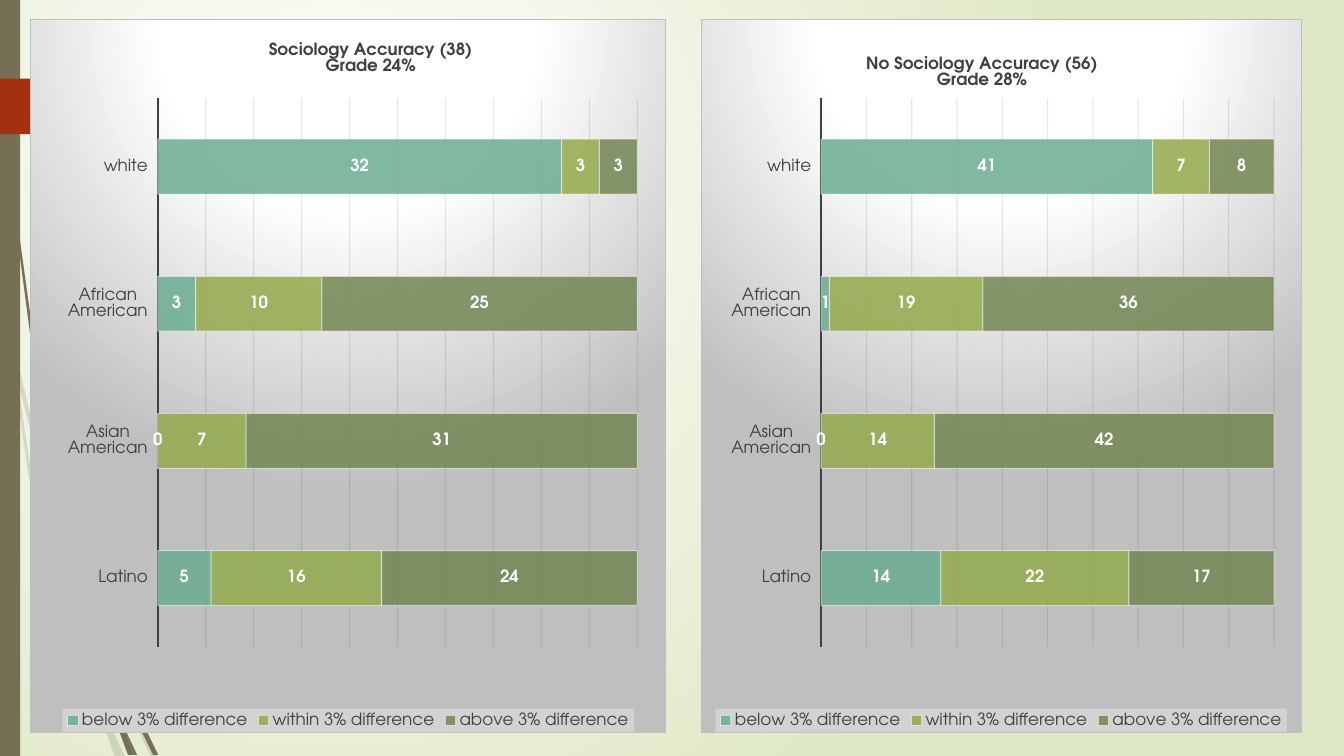
from pptx import Presentation
from pptx.chart.data import CategoryChartData
from pptx.dml.color import RGBColor
from pptx.enum.chart import (XL_CHART_TYPE as ChartType, XL_LABEL_POSITION as LabelPosition,
                             XL_LEGEND_POSITION as LegendPosition, XL_TICK_LABEL_POSITION as TickLabel,
                             XL_TICK_MARK as TickMark)
from pptx.enum.shapes import MSO_SHAPE as Preset
from pptx.oxml import parse_xml
from pptx.oxml.ns import nsdecls
from pptx.util import Inches, Pt

FONT = "TeX Gyre Adventor"
BROWN, RED, DARK, GREY, WHITE = "766F54", "A53010", "404040", "BFBFBF", "FFFFFF"
CATEGORIES = ["Latino", "Asian American", "African American", "white"]
SERIES = {"below 3% difference": "6AAC91", "within 3% difference": "92AA4C",
          "above 3% difference": "728653"}
PLOT_AREA = {"x": 0.2, "y": 0.11, "w": 0.755, "h": 0.77}

CHARTS = [
    {"box": (6.95, 0.19, 5.96, 7.08), "title": ["No Sociology Accuracy (56)", "Grade 28%"],
     "title_at": {"x": 0.27, "y": 0.045},
     "values": [(14, 0, 1, 41), (22, 14, 19, 7), (17, 42, 36, 8)]},
    {"box": (0.3, 0.19, 6.31, 7.08), "title": ["Sociology Accuracy (38)", "Grade 24%"],
     "title_at": {"x": 0.37, "y": 0.026},
     "values": [(5, 0, 3, 32), (16, 7, 10, 3), (24, 31, 25, 3)]},
]

# Grass blade outlines, in hundredths of an inch
PALE_BLADES = [
    [(58, 522), (84, 599), (85, 586), (62, 520), (36, 435), (14, 345), (17, 376), (36, 450)],
    [(92, 607), (88, 596), (88, 610), (123, 694), (150, 751), (155, 751), (127, 692)],
    [(119, 751), (124, 751), (105, 711)],
    [(93, 683), (70, 619), (48, 546), (31, 469), (17, 376), (11, 350), (28, 470), (44, 546),
     (65, 621), (92, 693), (101, 714), (99, 707)],
    [(101, 714), (114, 751), (119, 751)],
    [(96, 692), (93, 683), (99, 707), (101, 714), (119, 751), (105, 711)],
]
DARK_BLADES = [
    [(7, 110), (17, 233), (33, 355), (56, 477), (57, 481), (55, 457), (55, 453), (36, 355),
     (19, 232), (8, 109), (5, 48), (4, 0), (3, 0), (4, 48)],
    [(113, 649), (110, 641), (111, 656), (132, 708), (152, 749), (157, 749), (136, 706)],
    [(133, 749), (136, 749), (122, 719)],
    [(117, 722), (127, 749), (131, 749)],
    [(116, 706), (110, 691), (116, 717), (117, 722), (130, 749), (133, 749), (122, 719)],
]


def rgb(code):
    """Return the colour for a hex string."""
    return RGBColor.from_string(code)


def apply(target, settings):
    """Set each attribute named in settings."""
    for name, value in settings.items():
        setattr(target, name, value)


def set_font(font, color, bold=False):
    """Format chart text."""
    apply(font, {"name": FONT, "size": Pt(12), "bold": bold})
    font.color.rgb = rgb(color)


def set_line(line, color, width):
    """Give a line a colour and a width in points."""
    line.color.rgb = rgb(color)
    line.width = Pt(width)


def set_alpha(element, route, percent):
    """Make the solid fill found along route partly transparent."""
    for color in element.xpath(route + "/a:solidFill/a:srgbClr"):
        color.append(parse_xml(f'<a:alpha {nsdecls("a")} val="{percent * 1000}"/>'))


def radial_gradient(stops, focus):
    """Return a circular gradient fill; focus gives l, t, r, b in percent."""
    stop_xml = "".join(f'<a:gs pos="{place * 1000}"><a:srgbClr val="{color}"/></a:gs>'
                       for place, color in stops)
    sides = " ".join(f'{side}="{value * 1000}"' for side, value in zip("ltrb", focus))
    return parse_xml(f'<a:gradFill {nsdecls("a")} rotWithShape="1"><a:gsLst>{stop_xml}</a:gsLst>'
                     f'<a:path path="circle"><a:fillToRect {sides}/></a:path></a:gradFill>')


def manual_layout(places, inner=False):
    """Return a chart layout element with the given fractions."""
    target = '<c:layoutTarget val="inner"/>' if inner else ""
    modes = "".join(f'<c:{name}Mode val="edge"/>' for name in places if name in "xy")
    values = "".join(f'<c:{name} val="{value}"/>' for name, value in places.items())
    return parse_xml(f'<c:layout {nsdecls("c")}><c:manualLayout>{target}{modes}{values}'
                     '</c:manualLayout></c:layout>')


def paint_background(slide):
    """Fill the slide with a soft green glow."""
    slide.background.fill.solid()
    properties = slide._element.xpath("./p:cSld/p:bg/p:bgPr")[0]
    properties.replace(properties[0], radial_gradient([(0, WHITE), (100, "DFE8C4")],
                                                      (50, 50, 100, 100)))


def fill_plain(shape, color):
    """Fill a shape flat, without line or shadow."""
    shape.shadow.inherit = False
    shape.fill.solid()
    shape.fill.fore_color.rgb = rgb(color)
    shape.line.fill.background()


def add_blade(slide, points, alpha):
    """Draw one grass blade."""
    builder = slide.shapes.build_freeform(*points[0], scale=Inches(0.01))
    builder.add_line_segments(points[1:], close=True)
    shape = builder.convert_to_shape()
    fill_plain(shape, BROWN)
    if alpha < 100:
        set_alpha(shape._element, "./p:spPr", alpha)


def add_block(slide, preset, box, color):
    """Draw one flat preset shape."""
    fill_plain(slide.shapes.add_shape(preset, *map(Inches, box)), color)


def format_title(chart, lines, place):
    """Write the chart title at a fixed place."""
    chart.has_title = True
    frame = chart.chart_title.text_frame
    for index, line in enumerate(lines):
        paragraph = frame.add_paragraph() if index else frame.paragraphs[0]
        run = paragraph.add_run()
        run.text = line
        set_font(run.font, DARK, bold=True)
    title = chart.chart_title._element
    for layout in title.xpath("./c:layout"):
        title.remove(layout)
    title.xpath("./c:tx")[0].addnext(manual_layout(place))
    chart.chart_title.include_in_layout = False


def format_axes(chart):
    """Show category names and faint gridlines only."""
    category_axis, value_axis = chart.category_axis, chart.value_axis
    apply(category_axis, {"major_tick_mark": TickMark.NONE, "minor_tick_mark": TickMark.NONE,
                          "tick_label_position": TickLabel.LOW})
    set_font(category_axis.tick_labels.font, DARK)
    set_line(category_axis.format.line, DARK, 1.5)
    apply(value_axis, {"visible": False, "has_major_gridlines": True,
                       "minimum_scale": 0, "maximum_scale": 1, "major_unit": 0.1})
    set_line(value_axis.major_gridlines.format.line, "0D0D0D", 0.75)
    set_alpha(value_axis._element, "./c:majorGridlines/c:spPr/a:ln", 10)


def format_series(series, color):
    """Colour one series and label its values."""
    series.format.fill.solid()
    series.format.fill.fore_color.rgb = rgb(color)
    set_line(series.format.line, WHITE, 0.75)
    set_alpha(series._element, "./c:spPr", 85)
    set_alpha(series._element, "./c:spPr/a:ln", 50)
    apply(series, {"invert_if_negative": False})
    apply(series.data_labels, {"show_value": True, "position": LabelPosition.CENTER})
    set_font(series.data_labels.font, WHITE, bold=True)


def format_legend(chart):
    """Put the legend at the bottom on a pale strip."""
    chart.has_legend = True
    apply(chart.legend, {"position": LegendPosition.BOTTOM, "include_in_layout": False})
    set_font(chart.legend.font, DARK)
    chart.legend._element.xpath("./c:txPr")[0].addprevious(parse_xml(
        f'<c:spPr {nsdecls("c", "a")}><a:solidFill><a:srgbClr val="F2F2F2">'
        '<a:alpha val="39000"/></a:srgbClr></a:solidFill></c:spPr>'))


def format_frame(chart):
    """Fill and border the chart and fix its plot area."""
    frame = parse_xml(f'<c:spPr {nsdecls("c", "a")}><a:ln w="9525"><a:solidFill>'
                      f'<a:srgbClr val="{GREY}"/></a:solidFill></a:ln></c:spPr>')
    frame.insert(0, radial_gradient([(0, WHITE), (39, WHITE), (100, GREY)], (50, -80, 50, 180)))
    chart._chartSpace.xpath("./c:chart")[0].addnext(frame)
    plot_area = chart._chartSpace.xpath("./c:chart/c:plotArea")[0]
    for layout in plot_area.xpath("./c:layout"):
        plot_area.remove(layout)
    plot_area.insert(0, manual_layout(PLOT_AREA, inner=True))


def add_accuracy_chart(slide, box, title, title_at, values):
    """Add one chart of accuracy by group."""
    data = CategoryChartData()
    data.categories = CATEGORIES
    for name, numbers in zip(SERIES, values):
        data.add_series(name, numbers)
    chart = slide.shapes.add_chart(ChartType.BAR_STACKED_100, *map(Inches, box), data).chart
    apply(chart.font, {"name": FONT, "size": Pt(10)})
    format_title(chart, title, title_at)
    format_axes(chart)
    apply(chart.plots[0], {"gap_width": 150, "overlap": 100, "vary_by_categories": False})
    for series, color in zip(chart.plots[0].series, SERIES.values()):
        format_series(series, color)
    format_legend(chart)
    format_frame(chart)


def main():
    """Build the slide."""
    presentation = Presentation()
    apply(presentation, {"slide_width": Inches(13.33), "slide_height": Inches(7.5)})
    slide = presentation.slides.add_slide(presentation.slide_layouts[6])
    paint_background(slide)
    for blades, alpha in ((PALE_BLADES, 20), (DARK_BLADES, 100)):
        for points in blades:
            add_blade(slide, points, alpha)
    add_block(slide, Preset.RECTANGLE, (0, 0, 0.2, 7.5), BROWN)
    add_block(slide, Preset.PENTAGON, (0, 0.78, 1.74, 0.55), RED)
    for settings in CHARTS:
        add_accuracy_chart(slide, **settings)
    presentation.save("out.pptx")


main()
